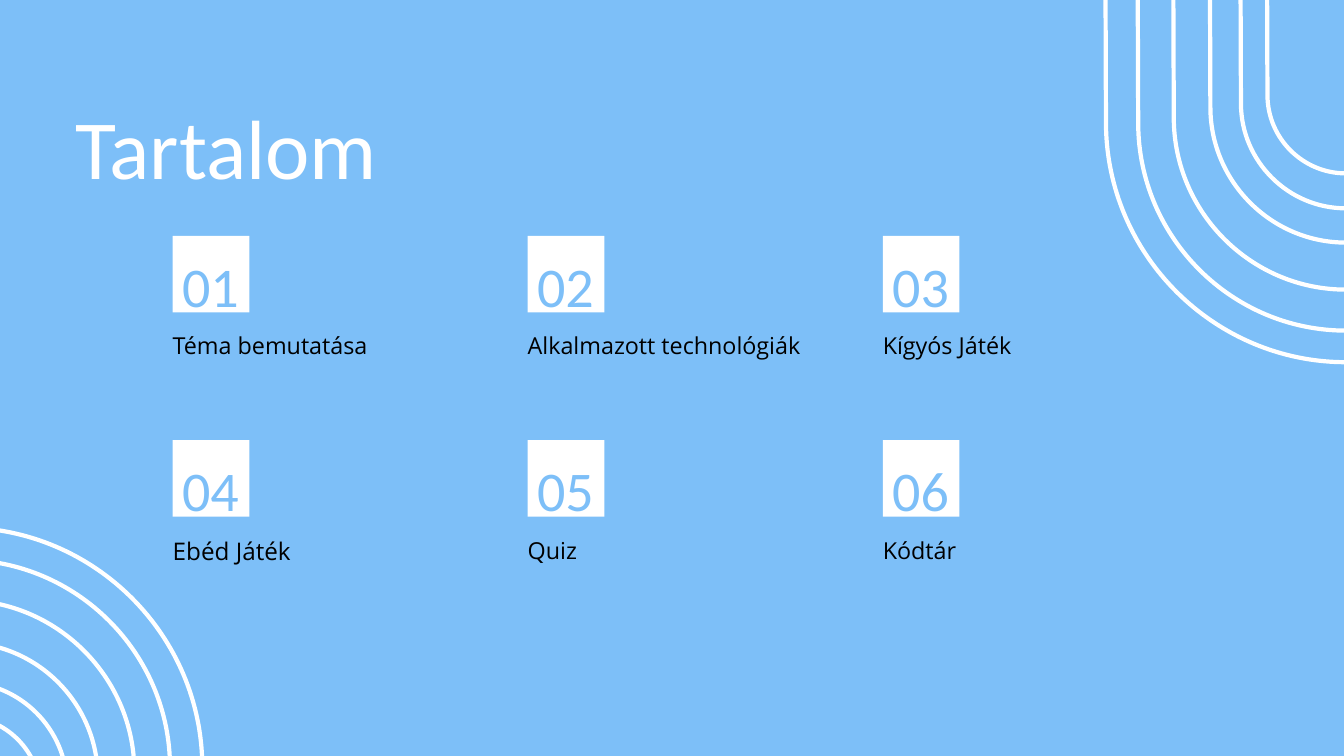
from dataclasses import dataclass

from lxml.etree import SubElement
from pptx import Presentation
from pptx.dml.color import RGBColor
from pptx.enum.shapes import MSO_SHAPE as Shape
from pptx.enum.text import MSO_ANCHOR as Anchor, MSO_AUTO_SIZE as AutoSize, PP_ALIGN as Align
from pptx.oxml.ns import qn
from pptx.util import Pt

SCALE = 9144
SLIDE_WIDTH, SLIDE_HEIGHT = 2000, 1125
QUARTER_ARC = 0.55
ARCH_SIZES = [(714, 1161), (618, 1053), (512, 926), (403, 801), (312, 698), (233, 600)]
TOPICS = ["Téma bemutatása", "Alkalmazott technológiák", "Kígyós Játék", "Ebéd Játék", "Quiz", "Kódtár"]
LARGER_TOPIC = "Ebéd Játék"


@dataclass(frozen=True)
class Theme:
    sky: RGBColor = RGBColor(0x7D, 0xBF, 0xF8)
    white: RGBColor = RGBColor(0xFF, 0xFF, 0xFF)
    black: RGBColor = RGBColor(0, 0, 0)
    heading_font: str = "Calibri"
    body_font: str = "Open Sans"
    title_size: int = 90
    number_size: int = 60
    topic_size: int = 25
    larger_topic_size: int = 26
    arch_line: float = 4.5


THEME = Theme()


def px(value):
    return round(value * SCALE)


def apply(target, formats):
    for name, value in formats.items():
        setattr(target, name, value)


def write(shape, text, font, size, color, spacing):
    frame = shape.text_frame
    frame.text = text
    apply(frame, {
        "margin_left": 0, "margin_top": 0, "margin_right": 0, "margin_bottom": 0,
        "word_wrap": True, "auto_size": AutoSize.SHAPE_TO_FIT_TEXT,
        "vertical_anchor": Anchor.TOP,
    })
    paragraph = frame.paragraphs[0]
    apply(paragraph, {"alignment": Align.LEFT, "line_spacing": spacing})
    run = paragraph.runs[0]
    apply(run.font, {"name": font, "size": Pt(size)})
    run.font.color.rgb = color


def add_title(slide, left, top, width, height):
    title = slide.shapes.title
    apply(title, {"left": px(left), "top": px(top), "width": px(width), "height": px(height)})
    write(title, "Tartalom", THEME.heading_font, THEME.title_size, THEME.white, 1.2)


def add_card(slide, left, top, number, topic):
    topic_box = slide.shapes.add_textbox(px(left), px(top + 130), px(450), px(55))
    size = THEME.larger_topic_size if topic == LARGER_TOPIC else THEME.topic_size
    write(topic_box, topic, THEME.body_font, size, THEME.black, 1.3)
    square = slide.shapes.add_shape(Shape.RECTANGLE, px(left), px(top), px(114), px(114))
    square.shadow.inherit = False
    square.fill.solid()
    square.fill.fore_color.rgb = THEME.white
    square.line.fill.background()
    number_box = slide.shapes.add_textbox(px(left + 14), px(top - 7), px(107), px(107))
    write(number_box, f"{number:02}", THEME.heading_font, THEME.number_size, THEME.sky, 1.3)


def add_contents(slide, left, top, width, row_step=304, columns=3):
    for index, topic in enumerate(TOPICS):
        row, column = divmod(index, columns)
        card_left = left + column * width / columns
        add_card(slide, card_left, top + row * row_step, index + 1, topic)


def bend(shape, first):
    outline = next(shape.element.iter(qn("a:path")))
    lines = outline.findall(qn("a:lnTo"))[first:]
    for start in range(0, len(lines), 3):
        curve = SubElement(outline, qn("a:cubicBezTo"))
        lines[start].addprevious(curve)
        for line in lines[start:start + 3]:
            curve.append(line[0])
            outline.remove(line)


def add_arch(slide, center, top, width, height, rotation):
    radius = width / 2
    left, right, bottom = center - radius, center + radius, top + height
    spring = bottom - radius
    reach = radius * QUARTER_ARC
    points = [
        (right, top), (right, spring),
        (right, spring + reach), (center + reach, bottom), (center, bottom),
        (center - reach, bottom), (left, spring + reach), (left, spring),
    ]
    builder = slide.shapes.build_freeform(px(left), px(top))
    builder.add_line_segments([(px(x), px(y)) for x, y in points], close=True)
    arch = builder.convert_to_shape()
    bend(arch, 2)
    arch.shadow.inherit = False
    arch.fill.background()
    arch.line.color.rgb = THEME.white
    arch.line.width = Pt(THEME.arch_line)
    arch.rotation = rotation


def add_arches(slide, center, tops, rotation):
    for top, (width, height) in zip(tops, ARCH_SIZES):
        add_arch(slide, center, top, width, height, rotation)


def main():
    presentation = Presentation()
    apply(presentation, {"slide_width": px(SLIDE_WIDTH), "slide_height": px(SLIDE_HEIGHT)})
    slide = presentation.slides.add_slide(presentation.slide_layouts[5])
    slide.background.fill.solid()
    slide.background.fill.fore_color.rgb = THEME.sky
    add_title(slide, 112, 112, 1035, 182)
    add_contents(slide, 257, 351, 1585)
    add_arches(slide, 2002, [-622, -561, -495, -440, -388, -342], 359.8)
    add_arches(slide, -56, [785, 833, 893, 956, 1015, 1066], 180)
    presentation.save("out.pptx")


if __name__ == "__main__":
    main()
